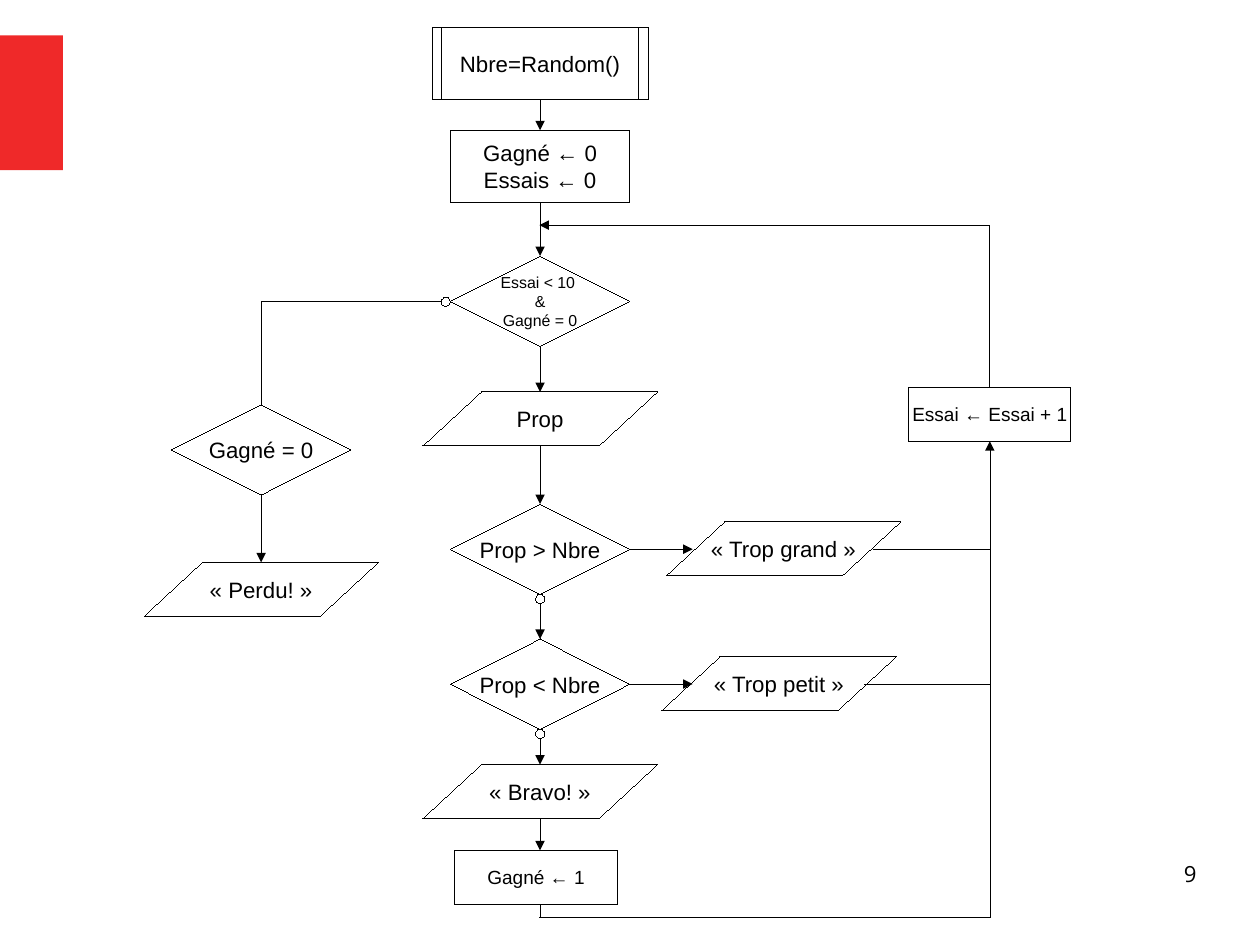
from typing import NamedTuple

from lxml.etree import SubElement
from pptx import Presentation
from pptx.dml.color import RGBColor as Rgb
from pptx.enum.shapes import MSO_CONNECTOR as Wire, MSO_SHAPE as Form
from pptx.enum.text import MSO_ANCHOR as Anchor, PP_ALIGN as Align
from pptx.oxml.ns import qn
from pptx.util import Inches, Pt


class Theme(NamedTuple):
    """Colours, fonts and type sizes."""
    ink: Rgb = Rgb(0, 0, 0)
    red: Rgb = Rgb(0xEF, 0x29, 0x29)
    font: str = "Arial"
    page: str = "Open Sans"
    big: int = 14
    mid: int = 12
    small: int = 10


class Box(NamedTuple):
    """A region in inches."""
    x: float
    y: float
    w: float
    h: float

    def emu(self):
        """Return the four lengths for python-pptx."""
        return [Inches(v) for v in self]


theme = Theme()
SIZE = (28 / 2.54, 21 / 2.54)
RHOMB = (1.57, 0.79)
SLANT = (2.05, 0.47)
STEP = (1.42, 0.47)
DOT = 0.08


def write(par, text, size, font, align):
    """Add one run to a paragraph."""
    par.alignment = align
    run = par.add_run()
    run.text = text
    run.font.size = Pt(size)
    run.font.name = font
    run.font.color.rgb = theme.ink


def thin(line):
    """Give a line the ink colour and hairline width, and return its XML."""
    line.color.rgb = theme.ink
    xml = line._get_or_add_ln()
    xml.set("w", "0")
    return xml


def node(slide, form, box, lines=(), size=theme.big):
    """Draw an outlined shape with centred lines of text."""
    shape = slide.shapes.add_shape(form, *box.emu())
    shape.shadow.inherit = False
    shape.fill.background()
    thin(shape.line)
    if form == Form.PARALLELOGRAM:
        shape.adjustments[0] = 1.083
    frame = shape.text_frame
    frame.word_wrap = False
    frame.vertical_anchor = Anchor.MIDDLE
    for i, text in enumerate(lines):
        par = frame.add_paragraph() if i else frame.paragraphs[0]
        write(par, text, size, theme.font, Align.CENTER)
    return shape


def link(slide, start, stop, tip=True, begin=None, end=None):
    """Draw a straight line, with an arrowhead if asked, and join its ends."""
    ends = [Inches(v) for v in (*start, *stop)]
    wire = slide.shapes.add_connector(Wire.STRAIGHT, *ends)
    xml = thin(wire.line)
    if tip:
        SubElement(xml, qn("a:tailEnd"), type="triangle")
    SubElement(wire._element.spPr, qn("a:effectLst"))
    if begin:
        wire.begin_connect(*begin)
    if end:
        wire.end_connect(*end)


def dot(slide, x, y):
    """Draw the small ring that marks the negative exit."""
    node(slide, Form.OVAL, Box(x, y, DOT, DOT))


def start(slide, box):
    """Draw the two opening steps and return the second."""
    mid = box.x + box.w / 2
    call = node(slide, Form.RECTANGLE, Box(*box[:3], 0.63), ["Nbre=Random()"])
    for x in (box.x + DOT, box.x + box.w - DOT):
        link(slide, (x, box.y), (x, box.y + 0.63), False)
    top = box.y + box.h - 0.63
    init = node(slide, Form.RECTANGLE, Box(mid - 0.785, top, 1.57, 0.63),
                ["Gagné ← 0", "Essais ← 0"])
    link(slide, (mid, box.y + 0.63), (mid, top), True, (call, 2), (init, 0))
    return init


def test(slide, box, init):
    """Draw the loop condition and the input below it."""
    mid, top = box.x + box.w / 2, box.y + 0.47
    low = box.y + box.h - SLANT[1]
    cond = node(slide, Form.DIAMOND, Box(box.x, top, *RHOMB),
                ["Essai < 10 ", "&", "Gagné = 0"], theme.small)
    dot(slide, box.x - DOT, top + 0.36)
    link(slide, (mid, box.y), (mid, top), True, (init, 2), (cond, 0))
    node(slide, Form.PARALLELOGRAM, Box(box.x - 0.24, low, *SLANT), ["Prop"])
    link(slide, (mid, top + RHOMB[1]), (mid, low), True, (cond, 2))


def guess(slide, box, ask, reply, left, out, rail):
    """Draw one comparison, its reply and the way to the rail."""
    mid, top = box.x + box.w / 2, box.y + box.h - RHOMB[1]
    row, edge = top + RHOMB[1] / 2, box.x + box.w
    cond = node(slide, Form.DIAMOND, Box(box.x, top, *RHOMB), [ask])
    dot(slide, mid - DOT / 2, box.y + box.h)
    link(slide, (mid, box.y), (mid, top), end=(cond, 0))
    node(slide, Form.PARALLELOGRAM, Box(left, row - 0.24, *SLANT), [reply])
    link(slide, (edge, row), (edge + 0.55, row), begin=(cond, 3))
    link(slide, (out, row), (rail, row), False)


def win(slide, box):
    """Draw the winning steps."""
    mid, top, low = box.x + box.w / 2, box.y + 0.23, box.y + 0.98
    link(slide, (mid, box.y), (mid, top))
    node(slide, Form.PARALLELOGRAM, Box(box.x, top, *SLANT), ["« Bravo! »"])
    link(slide, (mid, top + SLANT[1]), (mid, low))
    node(slide, Form.RECTANGLE, Box(box.x + 0.28, low, *STEP),
         ["Gagné ← 1"], theme.mid)
    link(slide, (mid, low + STEP[1]), (mid, box.y + box.h), False)


def lose(slide, box, gate):
    """Draw the branch taken when the loop ends."""
    mid, top = box.x + box.w / 2, box.y + 0.9
    low = box.y + box.h - SLANT[1]
    link(slide, (gate, box.y), (mid, box.y), False)
    cond = node(slide, Form.DIAMOND, Box(mid - 0.785, top, *RHOMB),
                ["Gagné = 0"])
    link(slide, (mid, box.y), (mid, top), False, end=(cond, 0))
    node(slide, Form.PARALLELOGRAM, Box(box.x, low, *SLANT), ["« Perdu! »"])
    link(slide, (mid, top + RHOMB[1]), (mid, low), True, (cond, 2))


def back(slide, box):
    """Draw the way back to the loop condition."""
    rail, foot = box.x + box.w, box.y + box.h
    top = box.y + 1.42
    step = node(slide, Form.RECTANGLE, Box(rail - 0.71, top, *STEP),
                ["Essai ← Essai + 1"], theme.mid)
    link(slide, (rail, foot), (box.x, foot), False)
    link(slide, (rail, foot), (rail, top + STEP[1]), end=(step, 2))
    link(slide, (rail, top), (rail, box.y), False, (step, 0))
    link(slide, (rail, box.y), (box.x, box.y))


def frame(slide, band, foot):
    """Draw the red band and the page number."""
    block = slide.shapes.add_shape(Form.RECTANGLE, *band.emu())
    block.shadow.inherit = False
    block.fill.solid()
    block.fill.fore_color.rgb = theme.red
    block.line.fill.background()
    page = slide.shapes.add_textbox(*foot.emu()).text_frame
    page.word_wrap = True
    page.margin_left = page.margin_right = 0
    page.margin_top = page.margin_bottom = 0
    write(page.paragraphs[0], "9", theme.big, theme.page, Align.RIGHT)


def main():
    """Build the slide and save it."""
    deck = Presentation()
    deck.slide_width, deck.slide_height = [Inches(v) for v in SIZE]
    slide = deck.slides.add_slide(deck.slide_layouts[6])
    frame(slide, Box(0, 0.31, 0.55, 1.18), Box(7.9, 7.53, 2.57, 0.57))
    init = start(slide, Box(3.78, 0.24, 1.89, 1.53))
    test(slide, Box(3.94, 1.77, 1.57, 2.13), init)
    guess(slide, Box(3.94, 3.9, 1.57, 1.3), "Prop > Nbre",
          "« Trop grand »", 5.83, 7.64, 8.66)
    guess(slide, Box(3.94, 5.28, 1.57, 1.1), "Prop < Nbre",
          "« Trop petit »", 5.79, 7.56, 8.66)
    win(slide, Box(3.7, 6.46, 2.05, 1.57))
    lose(slide, Box(1.26, 2.64, 2.05, 2.75), 3.86)
    back(slide, Box(4.72, 1.97, 3.94, 6.06))
    deck.save("out.pptx")


if __name__ == "__main__":
    main()
